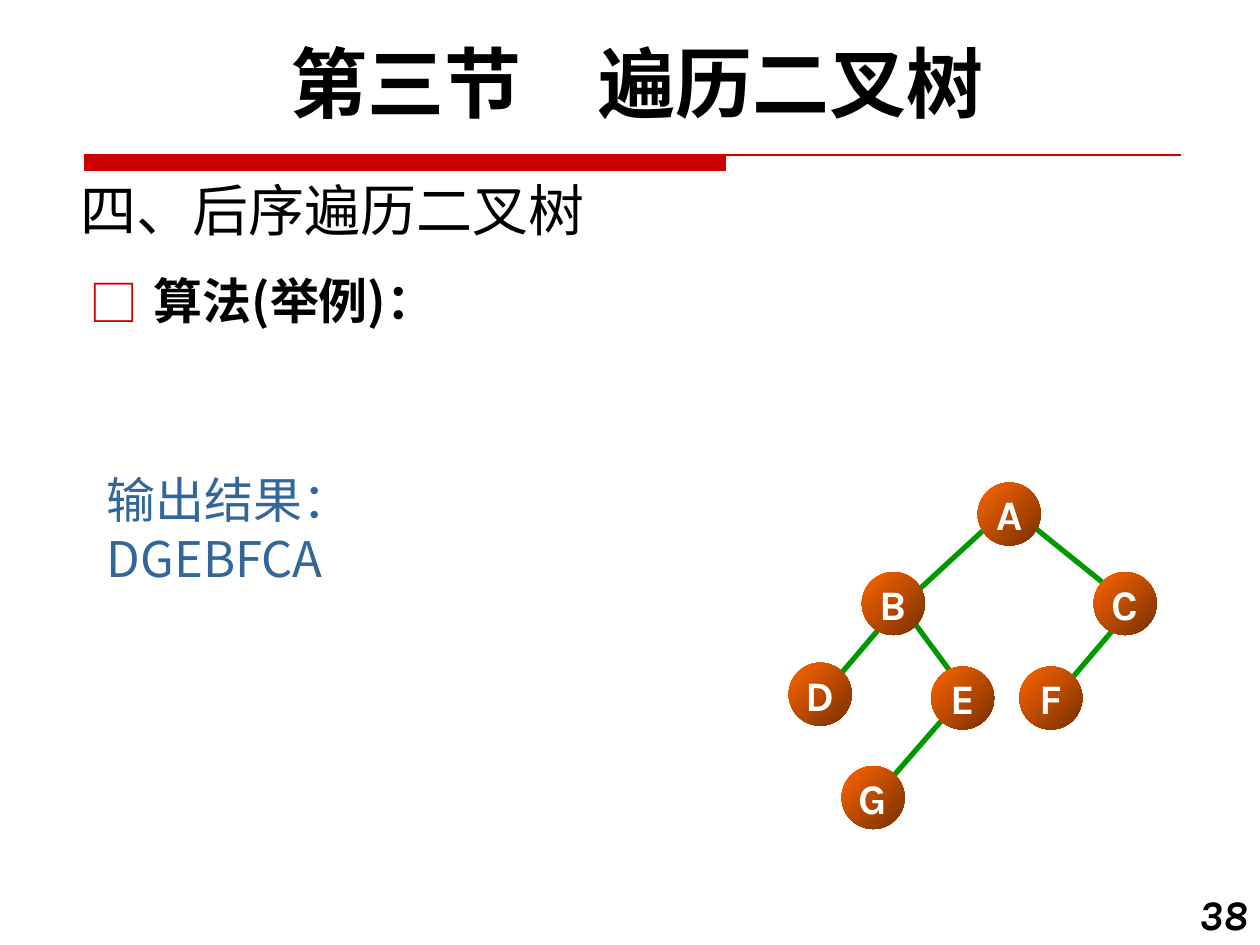
"""Build the slide on post-order traversal of a binary tree."""
from typing import NamedTuple

import lxml.etree
import pptx
import pptx.dml.color
import pptx.enum.shapes
import pptx.enum.text
import pptx.oxml.ns
import pptx.util

Inches = pptx.util.Inches
Align = pptx.enum.text.PP_ALIGN
Anchor = pptx.enum.text.MSO_ANCHOR
qn = pptx.oxml.ns.qn

LATIN, CJK = "Karla", "Noto Sans CJK SC"
BLACK, WHITE, RED, GREEN, BLUE = "000000", "FFFFFF", "CC0000", "009900", "336699"
NODE_GRADIENT = ("FF6600", "762F00")
NODE_SIZE = 0.5


class Node(NamedTuple):
    label: str
    left: float
    top: float


class Branch(NamedTuple):
    x1: float
    y1: float
    x2: float
    y2: float


class Style(NamedTuple):
    size: int
    font: str
    color: str = BLACK
    bold: bool = False
    italic: bool = False


NODES = (
    Node("A", 7.76, 3.83),
    Node("B", 6.84, 4.54),
    Node("C", 8.68, 4.54),
    Node("D", 6.26, 5.26),
    Node("E", 7.39, 5.29),
    Node("F", 8.09, 5.29),
    Node("G", 6.68, 6.08),
)
BRANCHES = (
    Branch(8.14, 4.13, 8.76, 4.63),
    Branch(7.89, 4.13, 7.26, 4.71),
    Branch(7.14, 4.8, 6.68, 5.34),
    Branch(7.18, 4.84, 7.55, 5.34),
    Branch(8.97, 4.84, 8.51, 5.38),
    Branch(7.55, 5.63, 7.09, 6.16),
)


def rgb(color: str) -> pptx.dml.color.RGBColor:
    """Turn a hex string into a colour."""
    return pptx.dml.color.RGBColor.from_string(color)


def write(shape, text: str, style: Style, align=Align.LEFT):
    """Put one styled paragraph into a shape and return it."""
    paragraph = shape.text_frame.paragraphs[0]
    paragraph.text = text
    paragraph.alignment = align
    for run in paragraph.runs:
        font = run.font
        font.size, font.name = pptx.util.Pt(style.size), style.font
        font.bold, font.italic = style.bold, style.italic
        font.color.rgb = rgb(style.color)
        east_asian = lxml.etree.Element(qn("a:ea"), typeface=CJK)
        font._element.find(qn("a:latin")).addnext(east_asian)
    return paragraph


def place(shape, left: float, top: float, width: float, height: float) -> None:
    """Move and size a placeholder."""
    shape.left, shape.top = Inches(left), Inches(top)
    shape.width, shape.height = Inches(width), Inches(height)
    shape.text_frame.auto_size = pptx.enum.text.MSO_AUTO_SIZE.NONE


def add_label(slide, box: tuple, text: str, style: Style, align=Align.LEFT) -> None:
    """Add a wrapping text box."""
    label = slide.shapes.add_textbox(*map(Inches, box))
    label.text_frame.word_wrap = True
    write(label, text, style, align)


def add_bullet(paragraph) -> None:
    """Give a paragraph a hanging red square bullet."""
    paragraph.line_spacing = 0.9
    paragraph.space_before = pptx.util.Pt(0)
    properties = paragraph._p.get_or_add_pPr()
    properties.set("marL", str(Inches(0.51)))
    properties.set("indent", str(Inches(-0.51)))
    bullet_color = lxml.etree.SubElement(properties, qn("a:buClr"))
    lxml.etree.SubElement(bullet_color, qn("a:srgbClr"), val=RED)
    lxml.etree.SubElement(properties, qn("a:buFont"), typeface=CJK)
    lxml.etree.SubElement(properties, qn("a:buChar"), char="□")


def add_rule(slide) -> None:
    """Draw the heading rule with its thick left part."""
    left, top, right = Inches(0.67), Inches(1.23), Inches(9.37)
    bar_right, bar_bottom = Inches(5.76), Inches(1.35)
    outline = slide.shapes.build_freeform(left, top)
    outline.add_line_segments(
        [(bar_right, top), (bar_right, bar_bottom), (left, bar_bottom)], close=True
    )
    outline.move_to(left, top)
    outline.add_line_segments([(right, top)], close=False)
    rule = outline.convert_to_shape()
    rule.shadow.inherit = False
    rule.fill.solid()
    rule.fill.fore_color.rgb = rgb(RED)
    rule.line.color.rgb = rgb(RED)
    rule.line.width = pptx.util.Pt(0.75)


def add_branch(tree, branch: Branch) -> None:
    """Draw a line from a parent to a child."""
    line = tree.shapes.add_connector(
        pptx.enum.shapes.MSO_CONNECTOR.STRAIGHT, *map(Inches, branch)
    )
    line.line.color.rgb = rgb(GREEN)
    line.line.width = pptx.util.Pt(3)
    lxml.etree.SubElement(line._element.spPr, qn("a:effectLst"))


def add_node(tree, node: Node) -> None:
    """Draw a lettered tree node."""
    circle = tree.shapes.add_shape(
        pptx.enum.shapes.MSO_SHAPE.OVAL,
        *map(Inches, (node.left, node.top, NODE_SIZE, NODE_SIZE)),
    )
    circle.shadow.inherit = False
    circle.line.fill.background()
    circle.fill.gradient()
    circle.fill.gradient_angle = 315
    for stop, color in zip(circle.fill.gradient_stops, NODE_GRADIENT):
        stop.color.rgb = rgb(color)
    frame = circle.text_frame
    frame.word_wrap = False
    frame.margin_left = frame.margin_right = 0
    frame.vertical_anchor = Anchor.MIDDLE
    write(circle, node.label, Style(24, LATIN, WHITE, bold=True), Align.CENTER)


def main() -> None:
    """Assemble and save the slide."""
    deck = pptx.Presentation()
    deck.slide_width, deck.slide_height = Inches(10), Inches(7.5)
    slide = deck.slides.add_slide(deck.slide_layouts[1])
    add_rule(slide)

    section = slide.shapes.title
    place(section, 0.54, 1.23, 6.25, 0.75)
    section.text_frame.vertical_anchor = Anchor.BOTTOM
    write(section, "四、后序遍历二叉树", Style(32, CJK))

    algorithm = slide.placeholders[1]
    place(algorithm, 0.61, 2.15, 9.58, 0.59)
    add_bullet(write(algorithm, "算法(举例)：", Style(28, CJK, bold=True)))

    tree = slide.shapes.add_group_shape()
    for branch in BRANCHES:
        add_branch(tree, branch)
    for node in NODES:
        add_node(tree, node)

    add_label(slide, (0.75, 3.68, 3.56, 0.57), "输出结果：DGEBFCA", Style(28, CJK, BLUE))
    add_label(slide, (0.43, 0.23, 9.25, 0.84), "第三节　遍历二叉树",
              Style(44, LATIN, bold=True), Align.CENTER)
    add_label(slide, (9.33, 7, 0.67, 0.5), "38",
              Style(24, LATIN, bold=True, italic=True), Align.RIGHT)
    deck.save("out.pptx")


if __name__ == "__main__":
    main()
